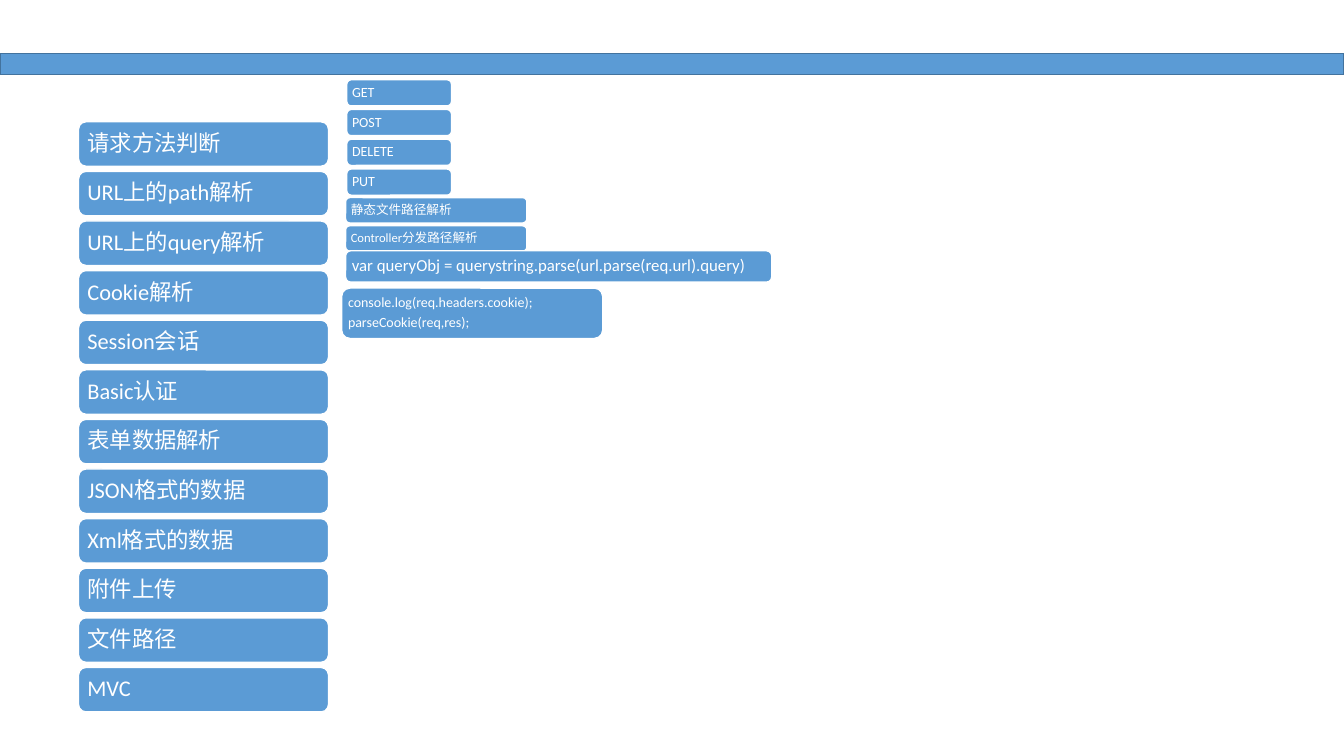
from dataclasses import dataclass

from pptx import Presentation
from pptx.dml.color import RGBColor
from pptx.enum.shapes import MSO_SHAPE
from pptx.enum.text import MSO_ANCHOR, PP_ALIGN
from pptx.util import Cm, Pt

RECT = MSO_SHAPE.RECTANGLE
ROUND = MSO_SHAPE.ROUNDED_RECTANGLE
MIDDLE = MSO_ANCHOR.MIDDLE
LEFT = PP_ALIGN.LEFT


@dataclass(frozen=True)
class Theme:
    blue: RGBColor = RGBColor(0x5B, 0x9B, 0xD5)
    edge: RGBColor = RGBColor(0x43, 0x73, 0x9E)
    white: RGBColor = RGBColor(0xFF, 0xFF, 0xFF)
    font: str = "Calibri"
    topic: int = 16
    code: int = 12
    small: int = 10
    tiny: int = 9


THEME = Theme()

TOPICS = [
    "请求方法判断", "URL上的path解析", "URL上的query解析", "Cookie解析",
    "Session会话", "Basic认证", "表单数据解析", "JSON格式的数据",
    "Xml格式的数据", "附件上传", "文件路径", "MVC",
]
METHODS = ["GET", "POST", "DELETE", "PUT"]
PATHS = ["静态文件路径解析", "Controller分发路径解析"]
QUERY = "var queryObj = querystring.parse(url.parse(req.url).query)"
COOKIE = ["console.log(req.headers.cookie);", "parseCookie(req,res);"]


def set_all(item, values):
    for name, value in values.items():
        setattr(item, name, value)


def add_box(slide, kind, left, top, width, height, edge):
    box = slide.shapes.add_shape(kind, Cm(left), Cm(top), Cm(width), Cm(height))
    box.shadow.inherit = False
    box.fill.solid()
    box.fill.fore_color.rgb = THEME.blue
    box.line.color.rgb = edge
    box.line.width = Pt(1)
    return box


def add_card(slide, lines, left, top, width, height, size, inset):
    box = add_box(slide, ROUND, left, top, width, height, THEME.white)
    frame = box.text_frame
    pad = Cm(inset)
    set_all(frame, {
        "word_wrap": True, "vertical_anchor": MIDDLE,
        "margin_left": pad, "margin_right": pad,
        "margin_top": pad, "margin_bottom": pad,
    })
    frame.text = "\n".join(lines)
    for para in frame.paragraphs:
        set_all(para, {"alignment": LEFT, "line_spacing": 0.9})
        set_all(para.font, {"name": THEME.font, "size": Pt(size)})
        para.font.color.rgb = THEME.white
    # Gap between lines only
    for para in frame.paragraphs[:-1]:
        para.space_after = Pt(0.35 * size)


def add_stack(slide, labels, left, top, width, height, step, size, inset):
    for row, label in enumerate(labels):
        add_card(slide, [label], left, top + row * step,
                 width, height, size, inset)


def main():
    deck = Presentation()
    set_all(deck, {"slide_width": Cm(33.87), "slide_height": Cm(19.05)})
    slide = deck.slides.add_slide(deck.slide_layouts[6])

    # Top band
    add_box(slide, RECT, 0, 1.35, 33.87, 0.53, THEME.edge)

    # Request topics
    add_stack(slide, TOPICS, 1.98, 3.07, 6.3, 1.12, 1.25, THEME.topic, 0.17)

    # Details beside the first four topics
    add_stack(slide, METHODS, 8.74, 2.01, 2.64, 0.66, 0.75, THEME.small, 0.1)
    add_stack(slide, PATHS, 8.71, 4.98, 4.57, 0.64, 0.71, THEME.tiny, 0.1)
    add_card(slide, [QUERY], 8.71, 6.32, 10.74, 0.79, THEME.code, 0.12)
    add_card(slide, COOKIE, 8.61, 7.26, 6.58, 1.27, THEME.small, 0.1)

    deck.save("out.pptx")


if __name__ == "__main__":
    main()
